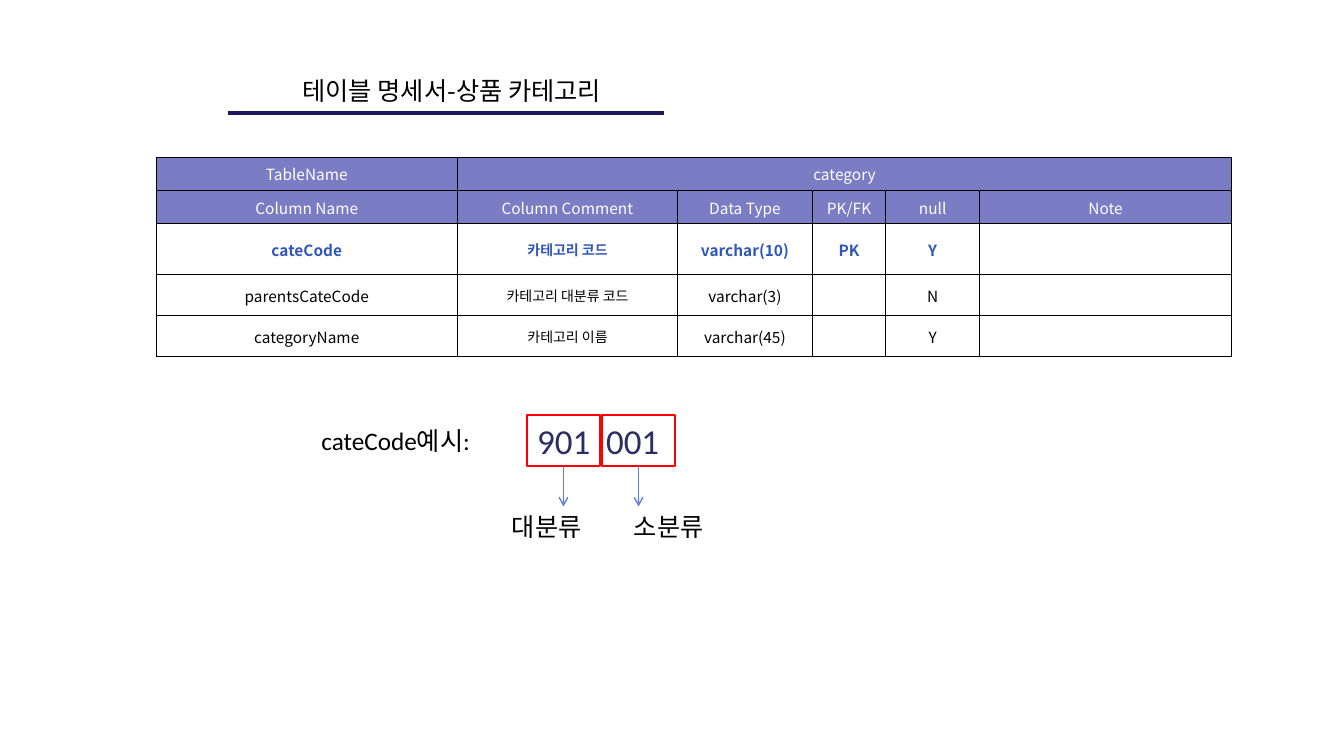
from lxml import etree
from pptx import Presentation
from pptx.dml.color import RGBColor
from pptx.enum.shapes import MSO_CONNECTOR, MSO_SHAPE
from pptx.enum.text import MSO_ANCHOR, MSO_AUTO_SIZE, PP_ALIGN
from pptx.oxml.ns import qn
from pptx.util import Pt

LINE, RECT = MSO_CONNECTOR.STRAIGHT, MSO_SHAPE.RECTANGLE
LEFT, MID = PP_ALIGN.LEFT, PP_ALIGN.CENTER
CENTER, GROW = MSO_ANCHOR.MIDDLE, MSO_AUTO_SIZE.SHAPE_TO_FIT_TEXT

THEME = {
    "sans": "Noto Sans CJK KR", "body": "Calibri",
    "black": "000000", "white": "FFFFFF", "head": "7A7CC4", "key": "3057B9",
    "rule": "1B1760", "code": "2B2D63", "box": "FF0000", "arrow": "5E81D9",
    "text": 18, "digit": 25, "cell": 11, "note": 10,
}

TITLE = "테이블 명세서-상품 카테고리"
LABEL = "cateCode예시:"
CODE = ("901", "001")
PARTS = (("대분류", 358.6), ("소분류", 445.7))
ROWS = [
    ("TableName", "category", "", "", "", ""),
    ("Column Name", "Column Comment", "Data Type", "PK/FK", "null", "Note"),
    ("cateCode", "카테고리 코드", "varchar(10)", "PK", "Y", ""),
    ("parentsCateCode", "카테고리 대분류 코드", "varchar(3)", "", "N", ""),
    ("categoryName", "카테고리 이름", "varchar(45)", "", "Y", ""),
]
WIDTHS = (215.2, 157.2, 96.4, 52.4, 67, 180)
HEIGHTS = (21, 21, 36.6, 29, 29)
HEADS, KEY, NOTE = 2, 2, 1

BOX_X, BOX_Y, BOX_W, BOX_H, STEP = 376.6, 296.4, 51.8, 36.6, 53.6
ARROW = 28.8


def tint(name):
    return RGBColor.from_string(THEME[name])


def style(item, **values):
    for name, value in values.items():
        setattr(item, name, value)


def write(frame, text, size, color, face, align=LEFT, bold=False, tab=None, gap=None):
    para = frame.paragraphs[0]
    if tab:
        stops = etree.SubElement(para._p.get_or_add_pPr(), qn("a:tabLst"))
        etree.SubElement(stops, qn("a:tab"), pos=str(Pt(tab)), algn="l")
    style(para, alignment=align, line_spacing=gap)
    run = para.add_run()
    run.text = text
    style(run.font, size=Pt(THEME[size]), name=THEME[face], bold=bold)
    run.font.color.rgb = tint(color)
    east = etree.Element(qn("a:ea"), typeface=THEME["sans"])
    run.font._element.find(qn("a:latin")).addnext(east)


def label(slide, area, text, size="text", color="black", face="body", **more):
    frame = slide.shapes.add_textbox(*map(Pt, area)).text_frame
    style(frame, word_wrap=True, auto_size=GROW)
    write(frame, text, size, color, face, **more)


def stroke(slide, ends, color, width, arrow=False):
    line = slide.shapes.add_connector(LINE, *map(Pt, ends))
    line.line.color.rgb = tint(color)
    line.line.width = Pt(width)
    props = line._element.spPr
    if arrow:
        etree.SubElement(props.find(qn("a:ln")), qn("a:tailEnd"), type="arrow")
    etree.SubElement(props, qn("a:effectLst"))


def border(cell):
    props = cell._tc.get_or_add_tcPr()
    for side in ("lnL", "lnR", "lnT", "lnB"):
        edge = etree.SubElement(props, qn("a:" + side), w=str(Pt(0.6)))
        fill = etree.SubElement(edge, qn("a:solidFill"))
        etree.SubElement(fill, qn("a:srgbClr"), val=THEME["black"])


def grid(slide):
    area = (111.6, 112.3, sum(WIDTHS), sum(HEIGHTS))
    table = slide.shapes.add_table(len(ROWS), len(WIDTHS), *map(Pt, area)).table
    style(table, first_row=False, horz_banding=False)
    for col, width in zip(table.columns, WIDTHS):
        col.width = Pt(width)
    for row, height in zip(table.rows, HEIGHTS):
        row.height = Pt(height)
    for r, row in enumerate(ROWS):
        head, key = r < HEADS, r == KEY
        color = "white" if head else "key" if key else "black"
        for c, text in enumerate(row):
            cell = table.cell(r, c)
            border(cell)
            cell.fill.solid()
            cell.fill.fore_color.rgb = tint("head" if head else "white")
            cell.vertical_anchor = CENTER
            if text:
                size = "note" if c == NOTE and not head else "cell"
                write(cell.text_frame, text, size, color, "sans", MID, key, gap=1.03)
    table.cell(0, 1).merge(table.cell(0, len(WIDTHS) - 1))


def sample(slide):
    label(slide, (222.5, 300.2, 154, 28.8), LABEL)
    label(slide, (BOX_X, BOX_Y, 142.6, BOX_H), "\t".join(CODE),
          "digit", "code", tab=49.2)
    base = BOX_Y + BOX_H
    for i, (text, x) in enumerate(PARTS):
        left = BOX_X + i * STEP
        box = slide.shapes.add_shape(RECT, *map(Pt, (left, BOX_Y, BOX_W, BOX_H)))
        box.shadow.inherit = False
        box.fill.background()
        box.line.color.rgb = tint("box")
        box.line.width = Pt(1.5)
        mid = left + BOX_W / 2
        stroke(slide, (mid, base, mid, base + ARROW), "arrow", 1, True)
        label(slide, (x, base + ARROW, 69, 28.8), text)


def main():
    deck = Presentation()
    style(deck, slide_width=Pt(960), slide_height=Pt(540))
    slide = deck.slides.add_slide(deck.slide_layouts[6])
    grid(slide)
    stroke(slide, (162.8, 80.8, 474.6, 80.8), "rule", 3)
    label(slide, (164.9, 50.4, 315.4, 28), TITLE, face="sans", align=MID)
    sample(slide)
    deck.save("out.pptx")


if __name__ == "__main__":
    main()
